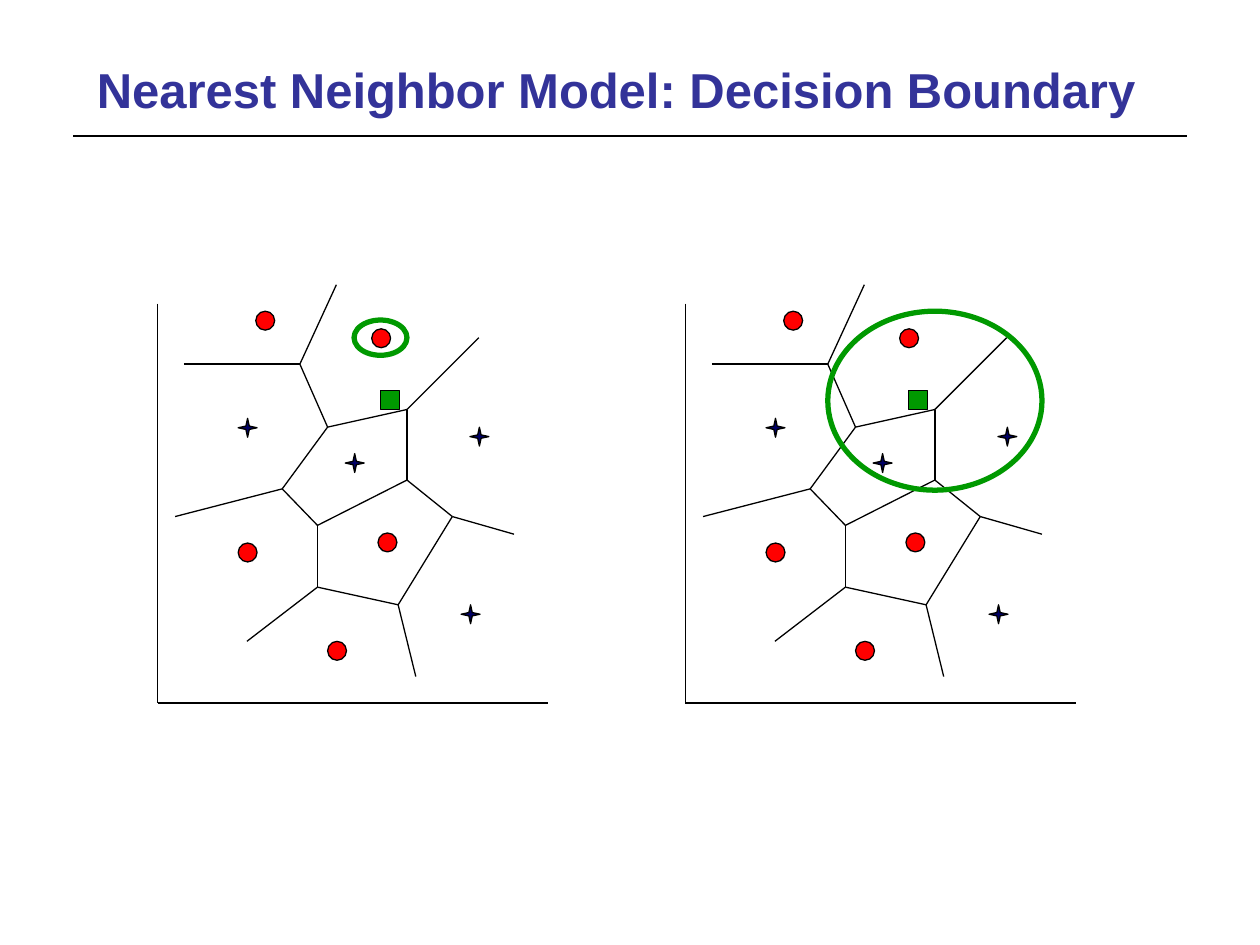
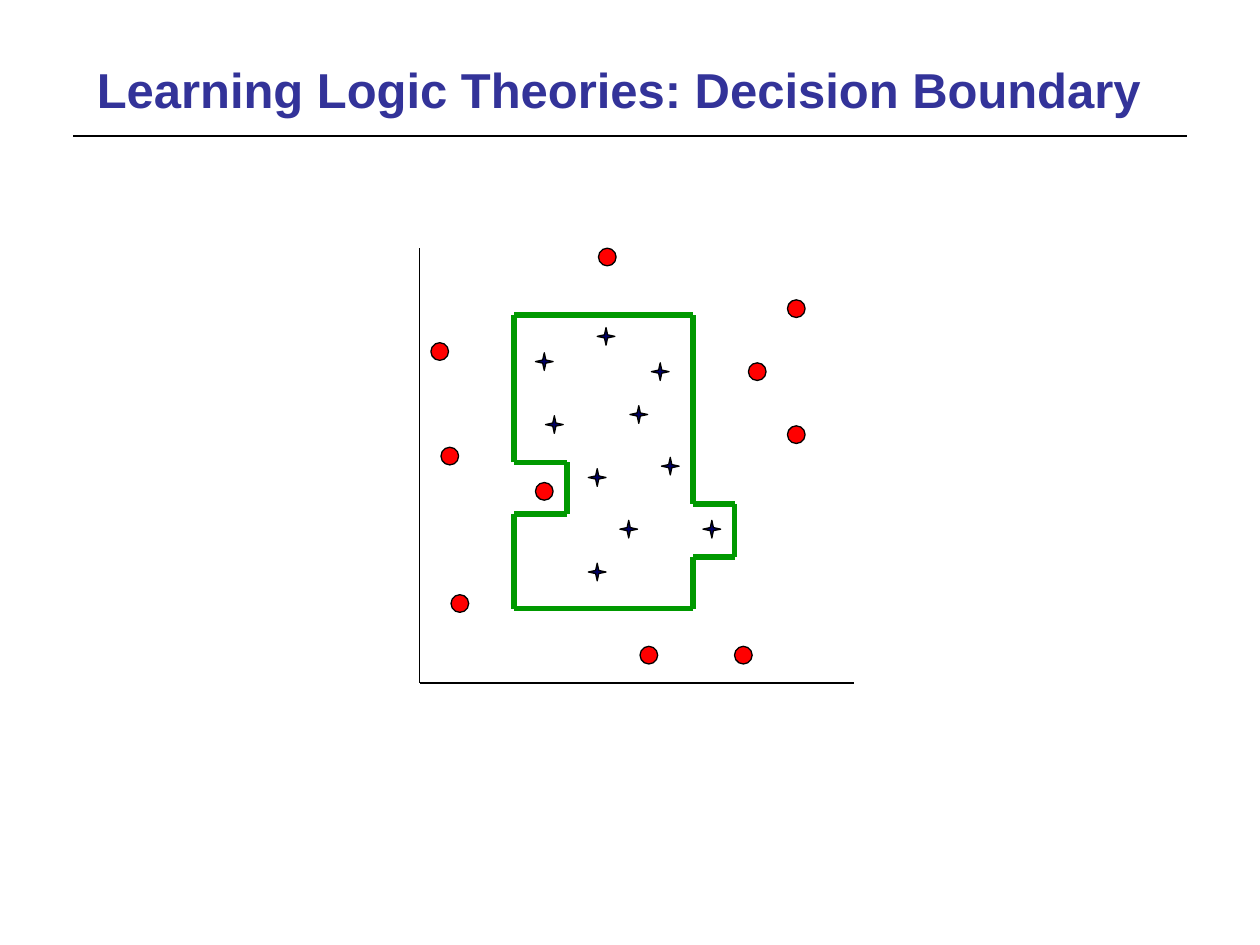
from itertools import pairwise

from pptx import Presentation
from pptx.dml.color import RGBColor
from pptx.enum.shapes import MSO_CONNECTOR, MSO_SHAPE
from pptx.enum.text import MSO_ANCHOR
from pptx.oxml.xmlchemy import OxmlElement
from pptx.util import Inches, Pt

BLACK = RGBColor(0x00, 0x00, 0x00)
TITLE_BLUE = RGBColor(0x33, 0x33, 0x99)
NAVY = RGBColor(0x00, 0x00, 0x66)
RED = RGBColor(0xFF, 0x00, 0x00)
GREEN = RGBColor(0x00, 0x99, 0x00)

TITLE_FONT = {"name": "Arial", "size": Pt(28), "bold": True}
TITLE_FRAME = {"word_wrap": True, "vertical_anchor": MSO_ANCHOR.TOP}
THIN, RULE, BOUNDARY = 0.75, 1, 3

TITLES = [
    "Nearest Neighbor Model: Decision Boundary",
    "Learning Logic Theories: Decision Boundary",
]


def draw_path(shapes, points, color=BLACK, width=THIN):
    """Join successive points (inches) with straight connectors."""
    for start, end in pairwise(points):
        segment = shapes.add_connector(
            MSO_CONNECTOR.STRAIGHT, *(Inches(v) for v in (*start, *end)))
        segment.line.color.rgb = color
        segment.line.width = Pt(width)
        segment._element.spPr.append(OxmlElement("a:effectLst"))


def draw_mark(shapes, preset, box, fill=None, color=BLACK, width=THIN):
    """Draw one preset shape in a (left, top, width, height) box in inches."""
    mark = shapes.add_shape(preset, *(Inches(v) for v in box))
    mark.shadow.inherit = False
    if fill is None:
        mark.fill.background()
    else:
        mark.fill.solid()
        mark.fill.fore_color.rgb = fill
    mark.line.color.rgb = color
    mark.line.width = Pt(width)
    if preset == MSO_SHAPE.STAR_4_POINT:
        mark.adjustments[0] = 0.125


prs = Presentation()
prs.slide_width, prs.slide_height = Inches(10), Inches(7.5)

# Both slides: title over a rule
slides = []
for title in TITLES:
    slide = prs.slides.add_slide(prs.slide_layouts[6])
    draw_path(slide.shapes, [(0.58, 1.08), (9.42, 1.08)], width=RULE)
    heading = slide.shapes.add_textbox(
        Inches(0.67), Inches(0.42), Inches(8.67), Inches(1)).text_frame
    for attribute, value in TITLE_FRAME.items():
        setattr(heading, attribute, value)
    run = heading.paragraphs[0].add_run()
    run.text = title
    for attribute, value in TITLE_FONT.items():
        setattr(run.font, attribute, value)
    run.font.color.rgb = TITLE_BLUE
    slides.append(slide)
neighbor_slide, logic_slide = slides

# Slide 1: the same Voronoi diagram twice, with a small and a large neighborhood
CELL_CORNERS = {
    "A": (2.38, 2.89), "B": (2.6, 3.39), "C": (3.23, 3.25), "D": (2.24, 3.88),
    "E": (2.52, 4.17), "F": (3.23, 3.81), "G": (2.52, 4.66), "H": (3.16, 4.8),
    "I": (3.59, 4.1),
    # open ends
    "a": (1.46, 2.89), "b": (2.67, 2.26), "c": (3.8, 2.68), "d": (1.39, 4.1),
    "g": (1.96, 5.09), "h": (3.3, 5.37), "i": (4.08, 4.24),
}
CELL_EDGES = ["aAb", "ABDEGHIFCB", "EF", "Cc", "CF", "Dd", "Gg", "Hh", "Ii"]
CELL_EDGES.remove("CF")  # already part of the long walk
NEIGHBOR_AXES = [(1.25, 2.41), (1.25, 5.58), (4.35, 5.58)]
NEIGHBOR_SAMPLES = [
    (MSO_SHAPE.STAR_4_POINT, NAVY,
     [(3.73, 3.39), (3.66, 4.8), (2.74, 3.6), (1.89, 3.32)]),
    (MSO_SHAPE.OVAL, RED,
     [(3, 4.23), (1.89, 4.31), (2.6, 5.09), (2.95, 2.61), (2.03, 2.47)]),
    (MSO_SHAPE.RECTANGLE, GREEN, [(3.02, 3.1)]),
]
NEIGHBORHOODS = [(0, (2.81, 2.54, 0.42, 0.28)), (4.19, (6.57, 2.47, 1.7, 1.42))]

for shift, neighborhood in NEIGHBORHOODS:
    diagram = neighbor_slide.shapes.add_group_shape().shapes
    walks = [[CELL_CORNERS[corner] for corner in edge] for edge in CELL_EDGES]
    for walk in [NEIGHBOR_AXES, *walks]:
        draw_path(diagram, [(x + shift, y) for x, y in walk])
    for preset, fill, places in NEIGHBOR_SAMPLES:
        for x, y in places:
            draw_mark(diagram, preset, (x + shift, y, 0.15, 0.15), fill)
    draw_mark(diagram, MSO_SHAPE.OVAL, neighborhood, color=GREEN, width=BOUNDARY)

# Slide 2: samples separated by an axis-parallel boundary
LOGIC_AXES = [(3.33, 1.97), (3.33, 5.42), (6.78, 5.42)]
LOGIC_SAMPLES = [
    (MSO_SHAPE.STAR_4_POINT, NAVY,
     [(5.58, 4.13), (4.74, 2.6), (5.17, 2.88), (5.25, 3.63), (4.92, 4.13),
      (5, 3.22), (4.67, 4.47), (4.67, 3.72), (4.33, 3.3), (4.25, 2.8)]),
    (MSO_SHAPE.OVAL, RED,
     [(4.25, 3.83), (3.5, 3.55), (3.42, 2.72), (3.58, 4.72), (6.25, 2.38),
      (6.25, 3.38), (4.75, 1.97), (5.94, 2.88), (5.08, 5.13), (5.83, 5.13)]),
]
LOGIC_BOUNDARY = [
    (4.08, 2.5), (5.5, 2.5), (5.5, 4), (5.83, 4), (5.83, 4.42), (5.5, 4.42),
    (5.5, 4.83), (4.08, 4.83), (4.08, 4.08), (4.5, 4.08), (4.5, 3.67),
    (4.08, 3.67), (4.08, 2.5),
]

draw_path(logic_slide.shapes, LOGIC_AXES)
for preset, fill, places in LOGIC_SAMPLES:
    for x, y in places:
        draw_mark(logic_slide.shapes, preset, (x, y, 0.14, 0.14), fill)
draw_path(logic_slide.shapes, LOGIC_BOUNDARY, GREEN, BOUNDARY)

prs.save("out.pptx")
